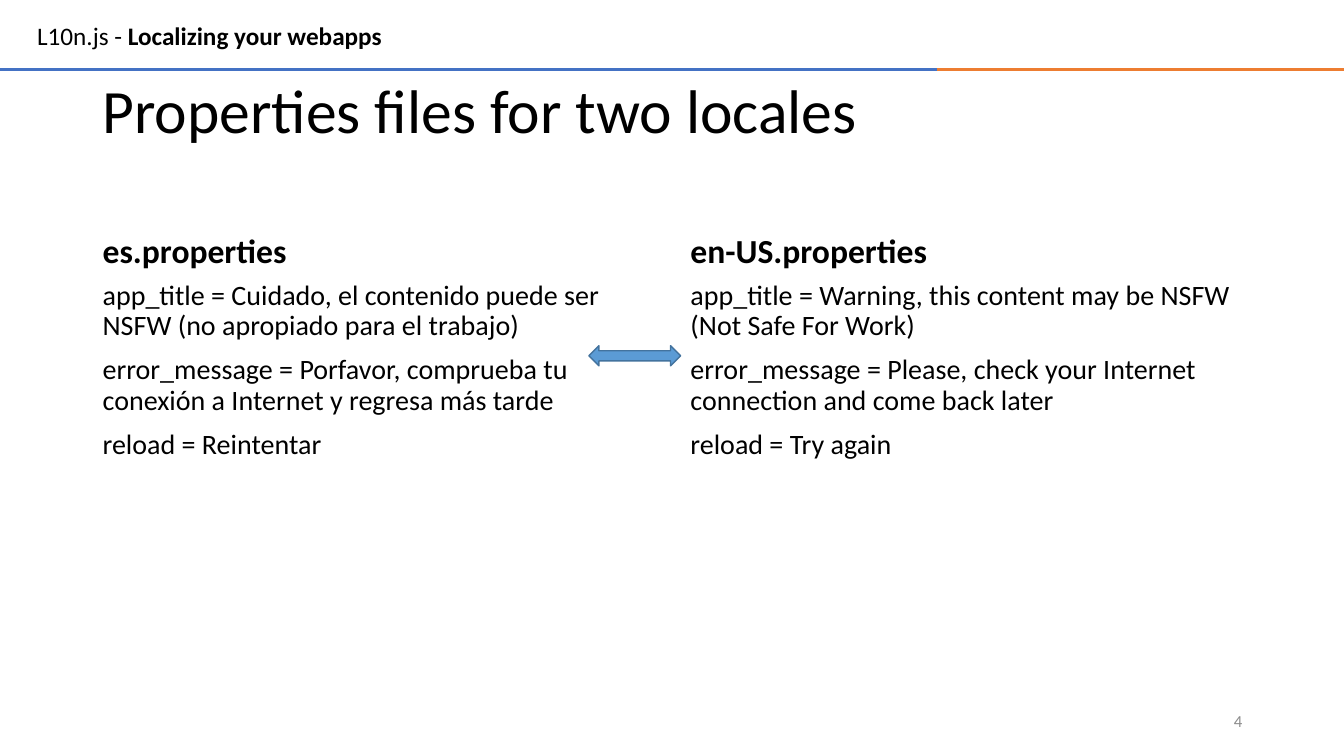
"""Build a slide that compares the properties files of two locales."""
from lxml import etree
from pptx import Presentation
from pptx.dml.color import RGBColor
from pptx.enum.shapes import MSO_CONNECTOR, MSO_SHAPE
from pptx.enum.text import MSO_ANCHOR, PP_ALIGN
from pptx.oxml.ns import qn
from pptx.util import Inches, Pt

TOP, MID, LOW = MSO_ANCHOR.TOP, MSO_ANCHOR.MIDDLE, MSO_ANCHOR.BOTTOM
LEFT, RIGHT = PP_ALIGN.LEFT, PP_ALIGN.RIGHT
LINE, ARROW = MSO_CONNECTOR.STRAIGHT, MSO_SHAPE.LEFT_RIGHT_ARROW

HEAD = [("L10n.js - ", False), ("Localizing your webapps", True)]
TITLE = "Properties files for two locales"
PAGE = "4"
RULES = [(-0.01, 9.37, "4472C4"), (9.29, 13.33, "ED7D31")]
FILES = [
    (0.92, 5.64, "es.properties", [
        "app_title = Cuidado, el contenido puede ser NSFW (no apropiado para el trabajo)",
        "error_message = Porfavor, comprueba tu conexión a Internet y regresa más tarde",
        "reload = Reintentar",
    ]),
    (6.75, 5.67, "en-US.properties", [
        "app_title = Warning, this content may be NSFW (Not Safe For Work)",
        "error_message = Please, check your Internet connection and come back later",
        "reload = Try again",
    ]),
]
NAME_TOP, NAME_H, BODY_H = 1.84, 0.9, 4.03
RULE_Y = 0.69


def tint(code):
    return RGBColor.from_string(code)


def write(slide, box, paras, size, color="000000", anchor=TOP,
          align=LEFT, space=1.0, before=0, wrap=True):
    frame = slide.shapes.add_textbox(*map(Inches, box)).text_frame
    frame.word_wrap = wrap
    frame.vertical_anchor = anchor
    for i, runs in enumerate(paras):
        para = frame.add_paragraph() if i else frame.paragraphs[0]
        para.alignment = align
        para.line_spacing = space
        para.space_before = Pt(before)
        for text, bold in runs:
            run = para.add_run()
            run.text = text
            font = run.font
            font.name, font.size, font.bold = "Calibri", Pt(size), bold
            font.color.rgb = tint(color)


def rule(slide, start, end, color):
    y = Inches(RULE_Y)
    line = slide.shapes.add_connector(LINE, Inches(start), y, Inches(end), y)
    line.line.color.rgb = tint(color)
    line.line.width = Pt(1.5)
    etree.SubElement(line._element.spPr, qn("a:effectLst"))


def main():
    deck = Presentation()
    deck.slide_width, deck.slide_height = Inches(13.33), Inches(7.5)
    slide = deck.slides.add_slide(deck.slide_layouts[6])

    write(slide, (0.27, 0.15, 3.9, 0.4), [HEAD], 18, anchor=LOW, wrap=False)
    for start, end, color in RULES:
        rule(slide, start, end, color)
    write(slide, (0.92, 0.4, 11.5, 1.45), [[(TITLE, False)]], 44,
          anchor=MID, space=0.9)

    for left, width, name, lines in FILES:
        write(slide, (left, NAME_TOP, width, NAME_H), [[(name, True)]], 24,
              anchor=LOW, space=0.9, before=10)
        write(slide, (left, NAME_TOP + NAME_H, width, BODY_H),
              [[(line, False)] for line in lines], 20, space=0.9, before=10)

    write(slide, (9.42, 6.95, 3, 0.4), [[(PAGE, False)]], 12,
          color="8C8C8C", anchor=MID, align=RIGHT)

    arrow = slide.shapes.add_shape(ARROW, *map(Inches, (5.84, 3.43, 0.91, 0.2)))
    arrow.shadow.inherit = False
    arrow.fill.solid()
    arrow.fill.fore_color.rgb = tint("5B9BD5")
    arrow.line.color.rgb = tint("43739E")
    arrow.line.width = Pt(1)

    deck.save("out.pptx")


if __name__ == "__main__":
    main()
